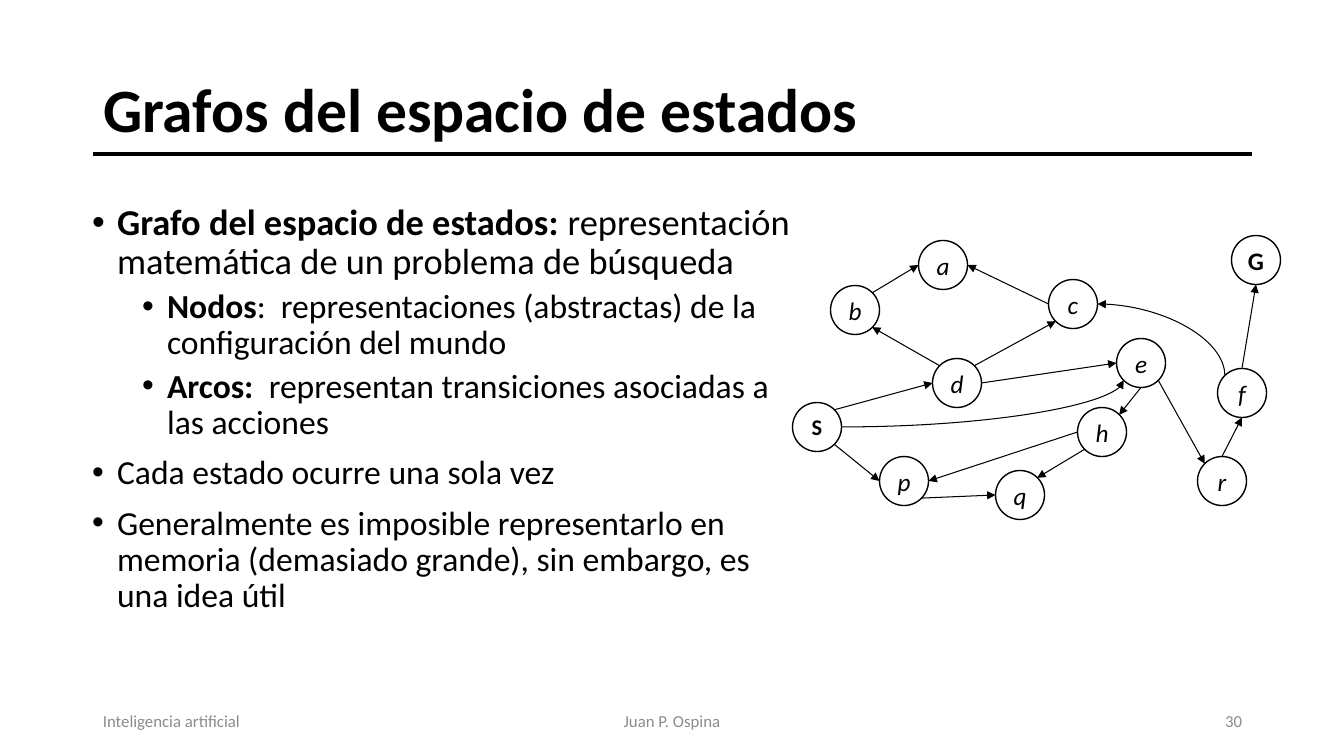
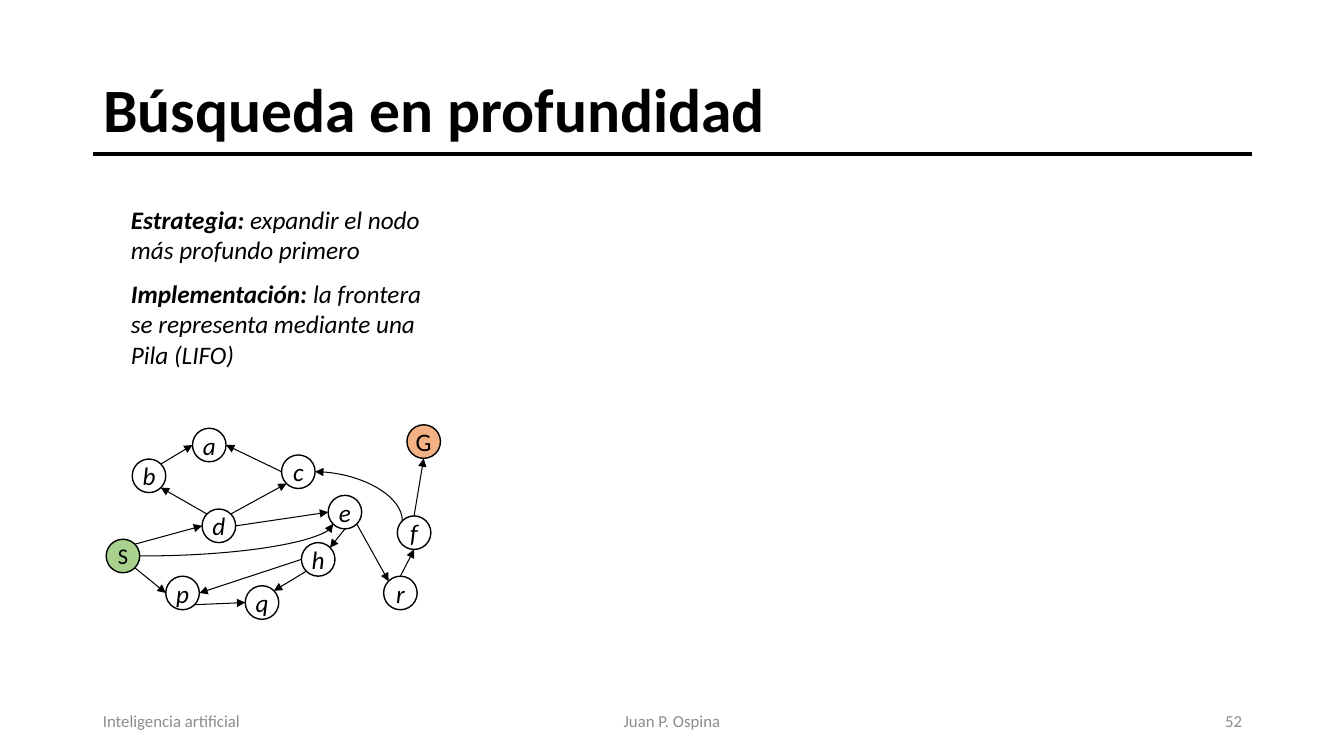
"""Build two slides on state-space graphs and depth-first search."""
from lxml import etree
from pptx import Presentation
from pptx import util as u
from pptx.dml.color import RGBColor
from pptx.enum import shapes, text
from pptx.oxml.ns import qn

PX = 9071
FONT = "Calibri"
BLACK = "000000"
GRAY = "8C8C8C"
NODE_SIZE = 49
LEFT, CENTER, RIGHT = text.PP_ALIGN.LEFT, text.PP_ALIGN.CENTER, text.PP_ALIGN.RIGHT
STRAIGHT, CURVE = shapes.MSO_CONNECTOR.STRAIGHT, shapes.MSO_CONNECTOR.CURVE


def color(value):
    return RGBColor.from_string(value)


def add_text(paragraph, content, size=18, fill=BLACK, bold=False, italic=False, align=LEFT):
    paragraph.alignment = align
    run = paragraph.add_run()
    run.text = content
    run.font.name = FONT
    run.font.size = u.Pt(size)
    run.font.bold = bold
    run.font.italic = italic
    run.font.color.rgb = color(fill)


NODES = {
    "S": (0, 0), "G": (439, -167), "d": (140, -44), "b": (38, -117),
    "p": (87, 54), "q": (203, 68), "c": (256, -123), "e": (324, -64),
    "h": (285, 5), "a": (126, -162), "f": (425, -34), "r": (405, 54),
}
SITES = {
    "top": (0, -1), "bottom": (0, 1), "left": (-1, 0), "right": (1, 0),
    "top left": (-0.7, -0.7), "top right": (0.7, -0.7),
    "bottom left": (-0.7, 0.7), "bottom right": (0.7, 0.7),
}
EDGES = [
    ("S", "bottom right", "p", "left", STRAIGHT, "tailEnd"),
    ("p", "bottom right", "q", "left", STRAIGHT, "tailEnd"),
    ("h", "bottom left", "q", "top right", STRAIGHT, "tailEnd"),
    ("h", "left", "p", "right", STRAIGHT, "tailEnd"),
    ("e", "bottom", "h", "top right", STRAIGHT, "tailEnd"),
    ("e", "bottom right", "r", "top left", STRAIGHT, "tailEnd"),
    ("r", "top", "f", "bottom", STRAIGHT, "tailEnd"),
    ("f", "top", "G", "bottom", STRAIGHT, "tailEnd"),
    ("S", "top right", "d", "left", STRAIGHT, "tailEnd"),
    ("d", "top left", "b", "bottom right", STRAIGHT, "tailEnd"),
    ("b", "top right", "a", "left", STRAIGHT, "tailEnd"),
    ("c", "left", "a", "right", STRAIGHT, "tailEnd"),
    ("d", "top right", "c", "bottom left", STRAIGHT, "tailEnd"),
    ("d", "right", "e", "left", STRAIGHT, "tailEnd"),
    ("c", "right", "f", "top left", CURVE, "headEnd"),
    ("S", "right", "e", "bottom left", CURVE, "tailEnd"),
]

SLIDES = [
    {
        "title": "Grafos del espacio de estados", "number": "30",
        "bulleted": True, "box": (82, 199, 732, 480),
        "paragraphs": [
            (0, 26, "Grafo del espacio de estados: ",
             "representación matemática de un problema de búsqueda"),
            (1, 24, "Nodos", ":  representaciones (abstractas) de la configuración del mundo"),
            (1, 24, "Arcos:", "  representan transiciones asociadas a las acciones"),
            (0, 24, "", "Cada estado ocurre una sola vez"),
            (0, 24, "", "Generalmente es imposible representarlo en memoria "
                        "(demasiado grande), sin embargo, es una idea útil"),
        ],
        "origin": (817, 427), "scale": 1, "fills": {},
    },
    {
        "title": "Búsqueda en profundidad", "number": "52",
        "bulleted": False, "box": (121, 199, 320, 178),
        "paragraphs": [
            (0, 18, "Estrategia: ", "expandir el nodo más profundo primero"),
            (0, 18, "Implementación: ", "la frontera se representa mediante una Pila (LIFO)"),
        ],
        "origin": (123, 556), "scale": 0.685, "fills": {"S": "A9D18E", "G": "F4B183"},
    },
]

presentation = Presentation()
presentation.slide_width = 1344 * PX
presentation.slide_height = 756 * PX

for content in SLIDES:
    bulleted = content["bulleted"]
    slide = presentation.slides.add_slide(presentation.slide_layouts[1 if bulleted else 5])

    title = slide.shapes.title
    title.left, title.top, title.width, title.height = (n * PX for n in (93, 40, 1159, 146))
    title.text_frame.vertical_anchor = text.MSO_ANCHOR.MIDDLE
    title.text_frame.auto_size = text.MSO_AUTO_SIZE.NONE
    title.text_frame.paragraphs[0].line_spacing = 0.9
    add_text(title.text_frame.paragraphs[0], content["title"], size=44, bold=True)

    box = [n * PX for n in content["box"]]
    if bulleted:
        body = slide.placeholders[1]
        body.left, body.top, body.width, body.height = box
    else:
        body = slide.shapes.add_textbox(*box)
    frame = body.text_frame
    frame.word_wrap = True
    frame.auto_size = text.MSO_AUTO_SIZE.NONE
    for index, (level, size, lead, rest) in enumerate(content["paragraphs"]):
        paragraph = frame.paragraphs[0] if index == 0 else frame.add_paragraph()
        paragraph.level = level
        paragraph.space_before = u.Pt((5 if level else 10) if index else 0)
        if bulleted:
            paragraph.line_spacing = 0.9
            properties = paragraph._p.get_or_add_pPr()
            properties.set("marL", str((25 + 50 * level) * PX))
            properties.set("indent", str(-25 * PX))
            etree.SubElement(properties, qn("a:buFont")).set("typeface", "Arial")
            etree.SubElement(properties, qn("a:buChar")).set("char", "•")
        if lead:
            add_text(paragraph, lead, size=size, bold=True, italic=not bulleted)
        add_text(paragraph, rest, size=size, italic=not bulleted)

    for left, width, label, align in (
        (93, 302, "Inteligencia artificial", LEFT),
        (445, 454, "Juan P. Ospina", CENTER),
        (950, 302, content["number"], RIGHT),
    ):
        footer = slide.shapes.add_textbox(left * PX, 701 * PX, width * PX, 40 * PX)
        footer.text_frame.word_wrap = True
        footer.text_frame.vertical_anchor = text.MSO_ANCHOR.MIDDLE
        add_text(footer.text_frame.paragraphs[0], label, size=12, fill=GRAY, align=align)

    scale = content["scale"]
    diameter = NODE_SIZE * scale
    centers = {
        name: [start + scale * offset for start, offset in zip(content["origin"], offsets)]
        for name, offsets in NODES.items()
    }
    for name, (x, y) in centers.items():
        node = slide.shapes.add_shape(
            shapes.MSO_SHAPE.FLOWCHART_CONNECTOR,
            *(round(n * PX) for n in (x - diameter / 2, y - diameter / 2, diameter, diameter)))
        node.shadow.inherit = False
        if name in content["fills"]:
            node.fill.solid()
            node.fill.fore_color.rgb = color(content["fills"][name])
        else:
            node.fill.background()
        node.line.color.rgb = color(BLACK)
        node.line.width = u.Pt(1)
        frame = node.text_frame
        frame.word_wrap = False
        frame.vertical_anchor = text.MSO_ANCHOR.MIDDLE
        frame.margin_left = frame.margin_right = frame.margin_top = frame.margin_bottom = 0
        add_text(frame.paragraphs[0], name, size=16 if name == "S" else 18,
                 bold=bulleted and name.isupper(), italic=name.islower(), align=CENTER)

    lines = [(STRAIGHT, (93, 154, 1252, 154), 2.25, None)]
    for source, source_site, target, target_site, kind, arrow in EDGES:
        ends = [
            center + side * diameter / 2
            for name, site in ((source, source_site), (target, target_site))
            for center, side in zip(centers[name], SITES[site])
        ]
        lines.append((kind, ends, 0.75, arrow))
    for kind, ends, width, arrow in lines:
        connector = slide.shapes.add_connector(kind, *(round(n * PX) for n in ends))
        connector.line.color.rgb = color(BLACK)
        connector.line.width = u.Pt(width)
        properties = connector.element.spPr
        if kind == CURVE:
            properties.find(qn("a:prstGeom")).set("prst", "curvedConnector2")
        if arrow:
            etree.SubElement(properties.find(qn("a:ln")), qn("a:" + arrow)).set("type", "triangle")
        etree.SubElement(properties, qn("a:effectLst"))

presentation.save("out.pptx")
